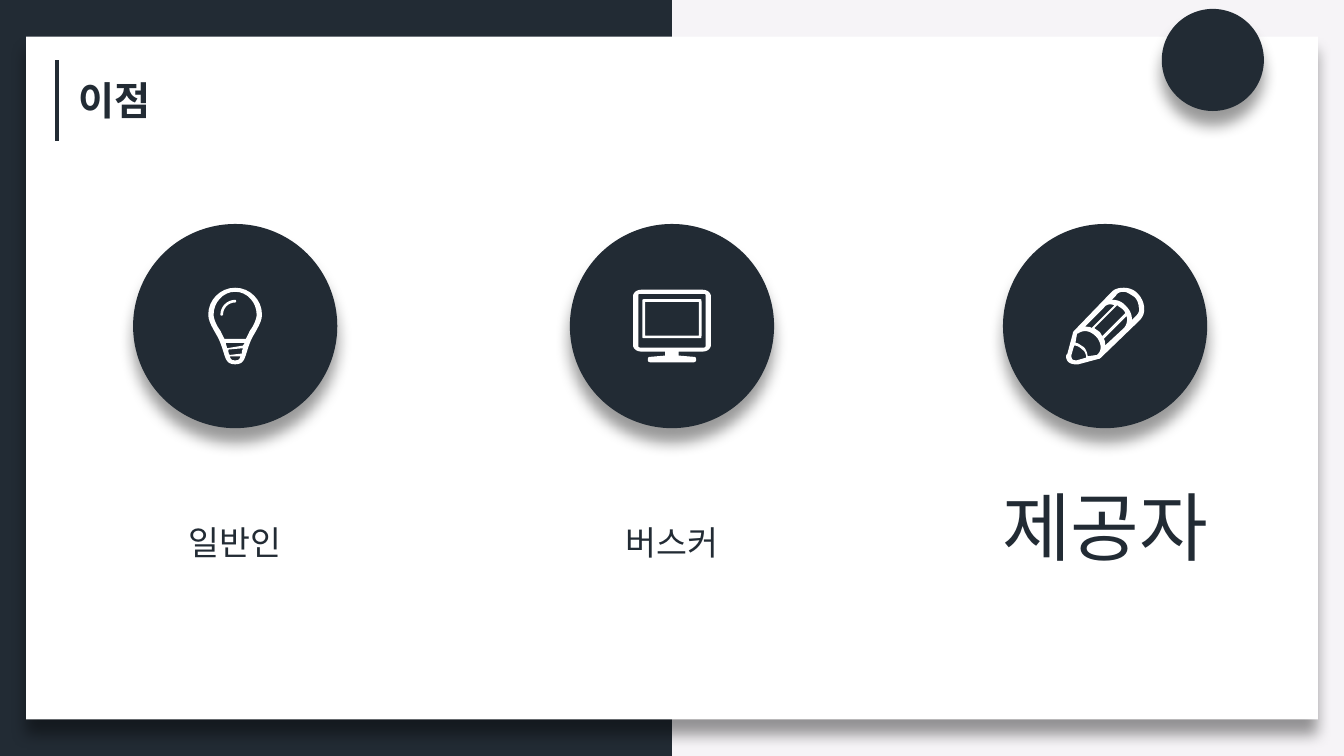
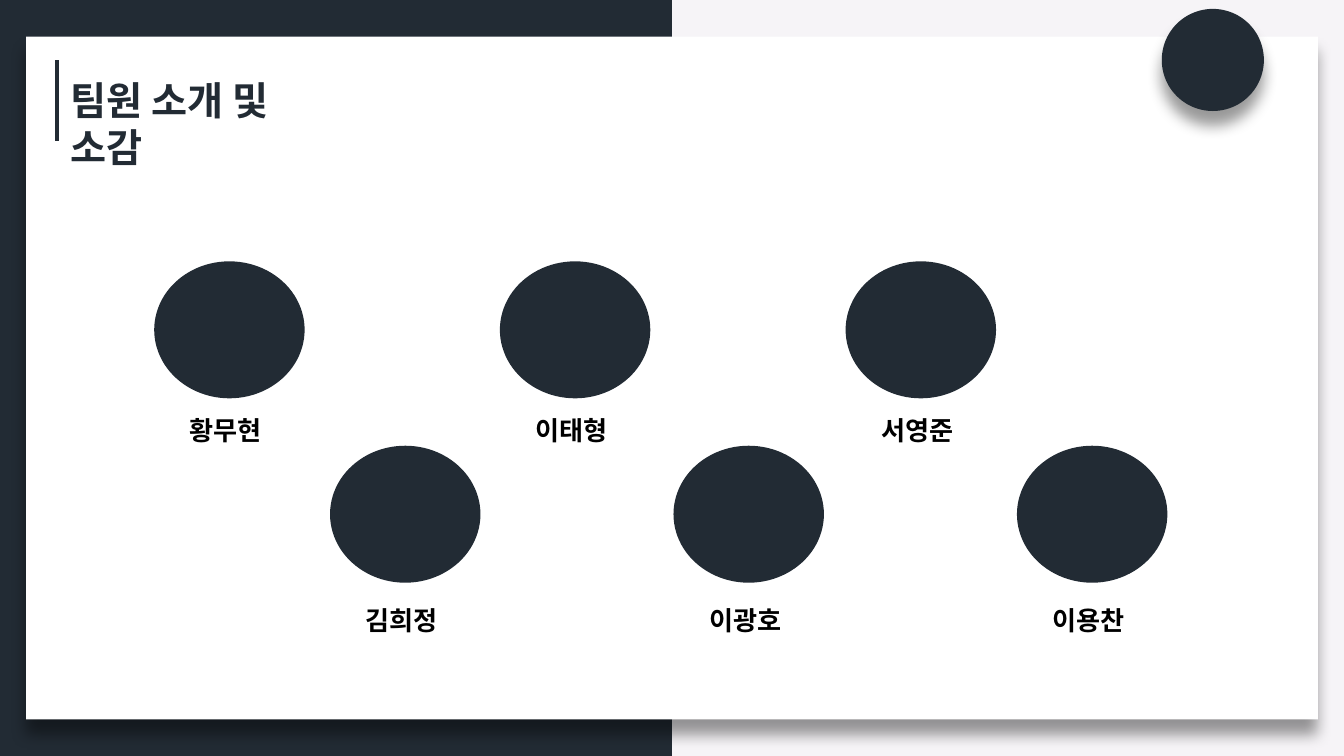
from lxml.etree import SubElement
from pptx import Presentation
from pptx.dml.color import RGBColor
from pptx.enum.shapes import MSO_CONNECTOR as Connector, MSO_SHAPE as Shape
from pptx.enum.text import PP_ALIGN as Align
from pptx.oxml.ns import qn
from pptx.util import Pt

WIDTH, HEIGHT = 720, 405
NAVY, PALE, WHITE, BLACK = "222B34", "F6F4F7", "FFFFFF", "000000"
FONT = "Noto Sans CJK KR"
TITLE = {"size": Pt(21), "bold": True}
LABEL = {"size": Pt(18)}
BIG_LABEL = {"size": Pt(40)}
NAME = {"size": Pt(14), "bold": True}
ICON_UNIT = 0.72
CURVE_STEPS = 8


def color(value):
    """Return the colour for a hex string."""
    return RGBColor.from_string(value)


def paint(shape, fill, shadow=False):
    """Fill a shape without outline, optionally with a soft shadow below."""
    shape.fill.solid()
    shape.fill.fore_color.rgb = color(fill)
    shape.line.fill.background()
    shape.shadow.inherit = False
    if shadow:
        effects = shape._element.spPr.find(qn("a:effectLst"))
        values = {"blurRad": Pt(8), "dist": Pt(8), "dir": 90 * 60000,
                  "algn": "ctr", "rotWithShape": 0}
        outer = SubElement(effects, qn("a:outerShdw"),
                           {key: str(value) for key, value in values.items()})
        tint = SubElement(outer, qn("a:srgbClr"), val=BLACK)
        SubElement(tint, qn("a:alpha"), val="40000")


def add_block(page, kind, box, fill, shadow=False):
    """Add a preset shape in a (left, top, width, height) box."""
    shape = page.shapes.add_shape(kind, *map(Pt, box))
    paint(shape, fill, shadow)


def add_text(page, box, text, style, ink=NAVY, align=Align.LEFT):
    """Add one paragraph of text in a box."""
    frame = page.shapes.add_textbox(*map(Pt, box)).text_frame
    frame.word_wrap = True
    para = frame.paragraphs[0]
    para.alignment = align
    span = para.add_run()
    span.text = text
    for key, value in {"name": FONT, **style}.items():
        setattr(span.font, key, value)
    span.font.color.rgb = color(ink)
    SubElement(span._r.get_or_add_rPr(), qn("a:ea"), typeface=FONT)


def rounded(left, top, right, bottom, radius):
    """Return a closed contour for a rounded rectangle."""
    r = radius
    return [(left + r, top), (right - r, top),
            (right, top, right, top, right, top + r), (right, bottom - r),
            (right, bottom, right, bottom, right - r, bottom), (left + r, bottom),
            (left, bottom, left, bottom, left, bottom - r), (left, top + r),
            (left, top, left, top, left + r, top)]


def flatten(contour):
    """Turn corners and cubic curves into a list of points."""
    points = [contour[0]]
    for step in contour[1:]:
        if len(step) == 2:
            points.append(step)
            continue
        controls = [points[-1], step[:2], step[2:4], step[4:]]
        for i in range(1, CURVE_STEPS + 1):
            t = i / CURVE_STEPS
            u = 1 - t
            weights = (u ** 3, 3 * u * u * t, 3 * u * t * t, t ** 3)
            points.append(tuple(sum(w * p[axis] for w, p in zip(weights, controls))
                                for axis in (0, 1)))
    return points


def add_outline(page, left, top, contours):
    """Draw closed contours as one white freeform, inner ones as holes."""
    builder = None
    for contour in contours:
        points = [(Pt(x * ICON_UNIT), Pt(y * ICON_UNIT)) for x, y in flatten(contour)]
        if builder is None:
            builder = page.shapes.build_freeform(*points[0])
        else:
            builder.move_to(*points[0])
        builder.add_line_segments(points[1:], close=True)
    paint(builder.convert_to_shape(Pt(left), Pt(top)), WHITE)


BULB = [
    [[(20, 0), (9, 0, 0, 9, 0, 20), (0, 27, 7, 35, 9, 41),
      (13, 51, 12, 57, 20, 57), (28, 57, 27, 51, 31, 41),
      (33, 35, 40, 27, 40, 20), (40, 9, 31, 0, 20, 0)],
     [(28, 38), (12, 38), (11, 36, 10, 34, 9, 32), (6, 28, 4, 23, 4, 20),
      (4, 11, 11, 3, 20, 3), (29, 3, 36, 11, 36, 20),
      (36, 23, 34, 28, 31, 32), (30, 34, 29, 36, 28, 38)],
     [(20, 54), (18, 54, 17, 54, 16, 51), (24, 51), (23, 54, 22, 54, 20, 54)],
     [(14, 45), (14, 44, 13, 42, 13, 41), (27, 41), (27, 42, 26, 42, 26, 43)],
     [(25, 49), (16, 50), (15, 49, 15, 48, 15, 46), (26, 45), (25, 47)]],
    [[(20, 9), (14, 9, 9, 14, 9, 20), (9, 21, 11, 21, 11, 20),
      (11, 15, 15, 11, 20, 11), (21, 11, 21, 9, 20, 9)]],
]
MONITOR = [
    [rounded(7, 7, 51, 36, 2), rounded(9, 9, 49, 34, 0)],
    [[(52, 0), (6, 0), (3, 0, 0, 2, 0, 5), (0, 41), (0, 44, 3, 46, 6, 46),
      (24, 46), (24, 49), (12, 50), (11, 50, 10, 54, 13, 54), (45, 54),
      (48, 54, 47, 50, 46, 50), (34, 49), (34, 46), (52, 46),
      (55, 46, 58, 44, 58, 41), (58, 5), (58, 2, 55, 0, 52, 0)],
     rounded(4, 3, 54, 43, 2)],
]
PENCIL = [
    [[(53, 4), (50, 1, 46, 0, 43, 0), (39, 0, 36, 1, 34, 3), (7, 31),
      (6, 32, 5, 33, 5, 34), (1, 49), (0, 50, 0, 51, 0, 51),
      (0, 55, 3, 57, 7, 57), (9, 57), (24, 53), (25, 53, 26, 52, 27, 51),
      (55, 24), (60, 19, 59, 10, 53, 4)],
     [(52, 21), (49, 24), (49, 19, 47, 16, 44, 13), (41, 10, 38, 9, 34, 9),
      (37, 6), (38, 4, 40, 3, 43, 3), (45, 3, 48, 5, 51, 7),
      (53, 9, 54, 12, 54, 14), (55, 17, 54, 19, 52, 21)],
     [(16, 51), (16, 49, 15, 46, 13, 44), (11, 43, 9, 41, 7, 41), (8, 35),
      (8, 34, 9, 34, 9, 34), (13, 31, 18, 32, 22, 36),
      (26, 40, 27, 46, 24, 49), (23, 50)],
     [(8, 54), (7, 54), (5, 54, 4, 53, 4, 51), (4, 50), (6, 43),
      (8, 43, 10, 44, 12, 46), (14, 47, 15, 50, 15, 52)],
     [(19, 30), (18, 29, 16, 29, 14, 29), (28, 15), (30, 12, 33, 12, 36, 13)],
     [(27, 36), (26, 35, 26, 34, 25, 33), (24, 32, 22, 31, 21, 30), (38, 13),
      (39, 14, 41, 15, 42, 16), (43, 17, 44, 18, 44, 19)],
     [(29, 43), (29, 41, 29, 39, 28, 38), (45, 21), (46, 24, 45, 28, 43, 30)]],
]


def add_page(deck, title, title_left):
    """Add a page with the shared panel, badge, rule and title."""
    page = deck.slides.add_slide(deck.slide_layouts[6])
    page.background.fill.solid()
    page.background.fill.fore_color.rgb = color(PALE)
    add_block(page, Shape.RECTANGLE, (0, 0, WIDTH / 2, HEIGHT), NAVY)
    add_block(page, Shape.RECTANGLE, (14, 19.6, 692, 365.8), WHITE, shadow=True)
    rule = page.shapes.add_connector(Connector.STRAIGHT, Pt(30.6), Pt(32.4), Pt(30.6), Pt(75.6))
    rule.line.color.rgb = color(NAVY)
    rule.line.width = Pt(2.25)
    SubElement(rule._element.spPr, qn("a:effectLst"))
    add_block(page, Shape.OVAL, (622.4, 4.8, 54.7, 54.7), NAVY, shadow=True)
    add_text(page, (title_left, 37.4, 161.3, 32.4), title, TITLE)
    return page


def add_benefit(page, box, icon, icon_size, label, label_top, style):
    """Add a round badge with a centred icon and a label below."""
    left, top, width, height = box
    add_block(page, Shape.OVAL, box, NAVY, shadow=True)
    icon_left = left + (width - icon_size[0] * ICON_UNIT) / 2
    icon_top = top + (height - icon_size[1] * ICON_UNIT) / 2
    for contours in icon:
        add_outline(page, icon_left, icon_top, contours)
    label_width = 175.6
    label_box = (left + (width - label_width) / 2, top + label_top,
                 label_width, style["size"].pt * 1.45 + 7.2)
    add_text(page, label_box, label, style, align=Align.CENTER)


def add_team_row(page, left, top, step, name_top, names):
    """Add a row of evenly spaced ovals with a name under each."""
    for index, name in enumerate(names):
        x = left + index * step
        add_block(page, Shape.OVAL, (x, top, 80.6, 73.4), NAVY)
        add_text(page, (x + 12, top + name_top, 58.3, 24.2), name, NAME, BLACK)


def build_benefits(deck):
    """Build the benefits page."""
    page = add_page(deck, "이점", 35.2)
    benefits = [
        (126, BULB, (40, 57), "일반인", 156, LABEL),
        (360, MONITOR, (58, 54), "버스커", 156, LABEL),
        (592, PENCIL, (58, 57), "제공자", 134, BIG_LABEL),
    ]
    size = 109.4
    for center, *details in benefits:
        add_benefit(page, (center - size / 2, 120, size, size), *details)


def build_team(deck):
    """Build the team page."""
    page = add_page(deck, "팀원 소개 및 소감", 30.8)
    add_team_row(page, 82.6, 140, 185.2, 78.4, ["황무현", "이태형", "서영준"])
    add_team_row(page, 176.8, 238.8, 184, 81.6, ["김희정", "이광호", "이용찬"])


def main():
    """Build and save the deck."""
    deck = Presentation()
    deck.slide_width, deck.slide_height = Pt(WIDTH), Pt(HEIGHT)
    build_benefits(deck)
    build_team(deck)
    deck.save("out.pptx")


if __name__ == "__main__":
    main()
